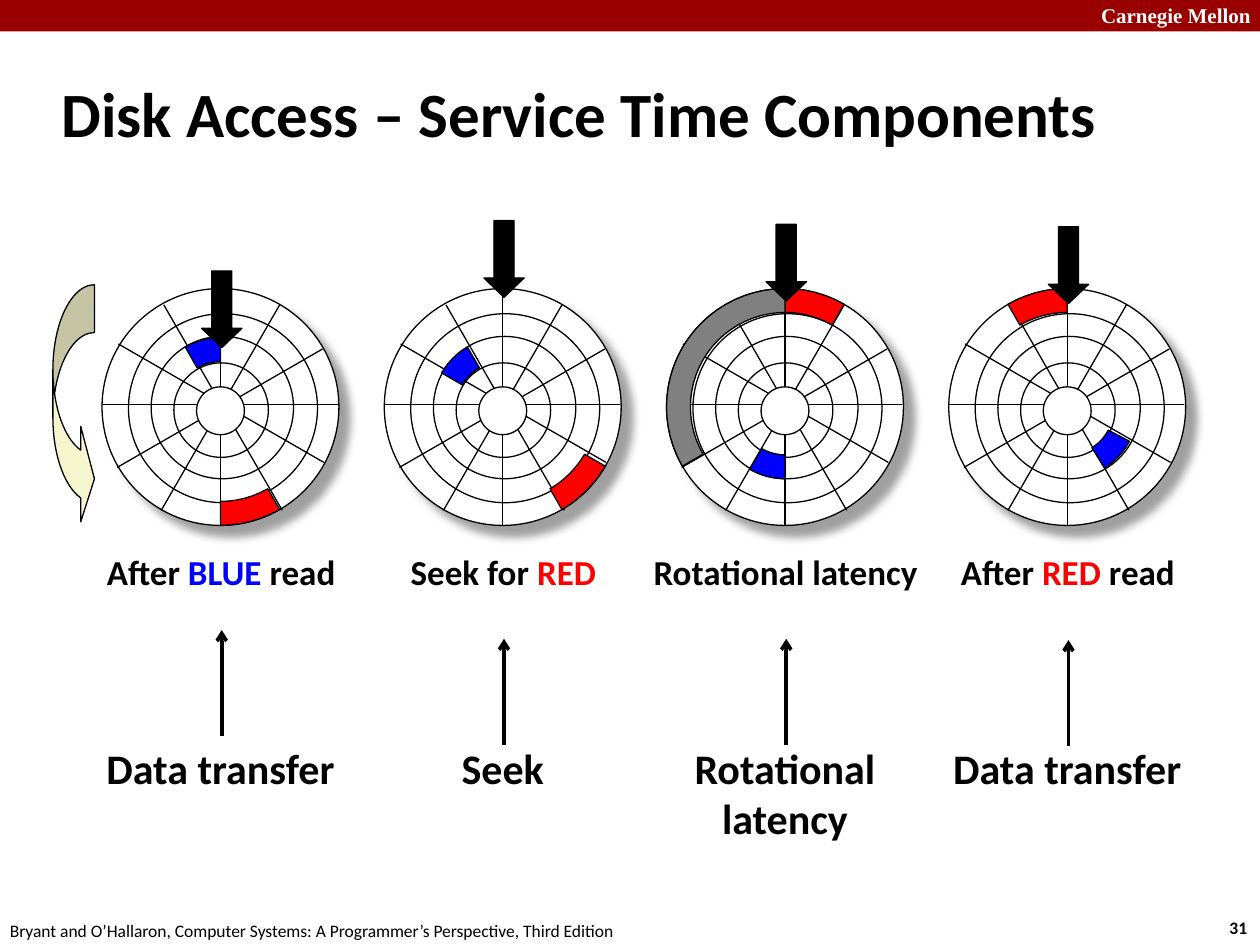
import math
from dataclasses import dataclass

from lxml import etree
from pptx import Presentation
from pptx import util as u
from pptx.dml import color
from pptx.enum import shapes, text
from pptx.oxml import ns


@dataclass(frozen=True)
class Theme:
    """Colours, fonts and type sizes of the deck."""
    black: str = "000000"
    white: str = "FFFFFF"
    banner: str = "990000"
    blue: str = "0000FF"
    red: str = "FF0000"
    grey: str = "808080"
    cream: str = "F7F5CD"
    body_font: str = "Calibri"
    banner_font: str = "Times New Roman"
    title: float = 36
    label: float = 24
    caption: float = 20
    banner_size: float = 12
    footer: float = 10


THEME = Theme()
DISK_SIZE = 1.88
RINGS = [(0, 0, 1.88), (0.21, 0.2, 1.5), (0.39, 0.38, 1.13), (0.57, 0.59, 0.75)]
HUB = (0.75, 0.78, 0.38)
SPOKES = [
    (0.94, 0, 0.94, 1.88), (1.41, 0.13, 0.47, 1.76), (1.75, 0.48, 0.12, 1.42),
    (1.87, 0.92, 0, 0.92), (1.76, 1.38, 0.13, 0.44), (1.43, 1.76, 0.49, 0.13),
]
OUTER_TRACK = (0.94, 0.75, 0.94)
INNER_TRACK = (0.95, 0.37, 0.56)


@dataclass(frozen=True)
class Stage:
    """One step of the access: caption, label, head position and sectors."""
    caption: list
    label: list
    head_top: float
    pointer_top: float
    sectors: list


STAGES = [
    Stage([("After ", THEME.black), ("BLUE ", THEME.blue), ("read", THEME.black)],
          ["Data transfer"], 2.15, 5,
          [(INNER_TRACK, -30, 0, THEME.blue), (OUTER_TRACK, 150, 180, THEME.red)]),
    Stage([("Seek for ", THEME.black), ("RED", THEME.red)],
          ["Seek"], 1.75, 5.07,
          [(OUTER_TRACK, 120, 150, THEME.red), (INNER_TRACK, -60, -30, THEME.blue)]),
    Stage([("Rotational latency", THEME.black)],
          ["Rotational", "latency"], 1.78, 5.07,
          [(OUTER_TRACK, 0, 30, THEME.red), (INNER_TRACK, 180, 210, THEME.blue),
           (OUTER_TRACK, 240, 360, THEME.grey)]),
    Stage([("After ", THEME.black), ("RED", THEME.red), (" read", THEME.black)],
          ["Data transfer"], 1.8, 5.08,
          [(OUTER_TRACK, -30, 0, THEME.red), (INNER_TRACK, 118, 148, THEME.blue)]),
]


def rgb(value):
    """Turn a hex string into a colour."""
    return color.RGBColor.from_string(value)


def paint(shape, fill, line=THEME.black):
    """Give a shape a flat fill, a thin line or none, and no shadow."""
    shape.shadow.inherit = False
    shape.fill.solid()
    shape.fill.fore_color.rgb = rgb(fill)
    if line is None:
        shape.line.fill.background()
    else:
        shape.line.color.rgb = rgb(line)
        shape.line.width = u.Pt(0.75)
    return shape


def add_preset(parent, kind, box, fill, line=THEME.black):
    """Add a painted preset shape in a box given in inches."""
    return paint(parent.add_shape(kind, *map(u.Inches, box)), fill, line)


def add_line(parent, ends, width):
    """Add a straight black line without a shadow."""
    line = parent.add_connector(shapes.MSO_CONNECTOR.STRAIGHT, *map(u.Inches, ends))
    line.line.color.rgb = rgb(THEME.black)
    line.line.width = u.Pt(width)
    etree.SubElement(line._element.spPr, ns.qn("a:effectLst"))
    return line


def add_text(page, box, lines, size, bold=True, centred=False, wrap=True,
             font=THEME.body_font):
    """Add a text box whose lines are lists of (words, colour) spans."""
    area = page.shapes.add_textbox(*map(u.Inches, box))
    frame = area.text_frame
    frame.word_wrap = wrap
    for index, spans in enumerate(lines):
        para = frame.add_paragraph() if index else frame.paragraphs[0]
        para.alignment = text.PP_ALIGN.CENTER if centred else text.PP_ALIGN.LEFT
        for words, tint in spans:
            span = para.add_run()
            span.text = words
            span.font.name = font
            span.font.size = u.Pt(size)
            span.font.bold = bold
            span.font.color.rgb = rgb(tint)
    return area


def add_frame(page):
    """Draw the banner, the title and the footer."""
    add_preset(page.shapes, shapes.MSO_SHAPE.RECTANGLE, (0, 0, 10, 0.25),
               THEME.banner, None)
    add_text(page, (8.64, -0.03, 1.43, 0.3), [[("Carnegie Mellon", THEME.white)]],
             THEME.banner_size, font=THEME.banner_font)
    add_text(page, (9.66, 7.23, 0.37, 0.27), [[("31", THEME.black)]],
             THEME.footer, wrap=False)
    credit = "Bryant and O’Hallaron, Computer Systems: A Programmer’s Perspective, Third Edition"
    add_text(page, (-0.02, 7.25, 5.08, 0.27), [[(credit, THEME.black)]],
             THEME.footer, bold=False, wrap=False)
    title = add_text(page, (0.39, 0.48, 8.85, 0.83),
                     [[("Disk Access – Service Time Components", THEME.black)]],
                     THEME.title)
    title.text_frame.vertical_anchor = text.MSO_ANCHOR.MIDDLE


def add_shadow(shape):
    """Cast a soft grey shadow to the lower right."""
    effects = shape._element.spPr.find(ns.qn("a:effectLst"))
    shadow = etree.SubElement(effects, ns.qn("a:outerShdw"), blurRad=str(u.Pt(5)),
                              dist=str(u.Pt(8.5)), dir="2700000", algn="tl",
                              rotWithShape="0")
    tint = etree.SubElement(shadow, ns.qn("a:srgbClr"), val=THEME.grey)
    etree.SubElement(tint, ns.qn("a:alpha"), val="75000")


def add_sector(parent, left, top, track, start, end, fill):
    """Fill part of a track between two angles, clockwise from the top."""
    middle, inner, outer = track
    steps = (end - start) // 5
    angles = [math.radians(start + (end - start) * i / steps) for i in range(steps + 1)]
    arcs = [(outer, a) for a in angles] + [(inner, a) for a in reversed(angles)]
    points = [(u.Inches(left + DISK_SIZE / 2 + radius * math.sin(angle)),
               u.Inches(top + middle - radius * math.cos(angle)))
              for radius, angle in arcs]
    outline = parent.build_freeform(*points[0])
    outline.add_line_segments(points[1:], close=True)
    paint(outline.convert_to_shape(), fill)


def add_disk(page, left, top, stage):
    """Draw a disk with its tracks, spokes, sectors and read head."""
    parts = page.shapes.add_group_shape().shapes
    oval = shapes.MSO_SHAPE.OVAL
    rings = [add_preset(parts, oval, (left + x, top + y, size, size), THEME.white)
             for x, y, size in RINGS]
    add_shadow(rings[0])
    for x1, y1, x2, y2 in SPOKES:
        add_line(parts, (left + x1, top + y1, left + x2, top + y2), 0.75)
    x, y, size = HUB
    add_preset(parts, oval, (left + x, top + y, size, size), THEME.white)
    for sector in stage.sectors:
        add_sector(parts, left, top, *sector)
    head = add_preset(parts, shapes.MSO_SHAPE.DOWN_ARROW,
                      (left + 0.79, stage.head_top, 0.32, 0.61), THEME.black)
    head.adjustments[1] = 0.48


def add_stage(page, left, top, stage):
    """Draw a disk with its caption, pointer and label underneath."""
    add_disk(page, left, top, stage)
    centre = left + DISK_SIZE / 2
    add_text(page, (centre - 1.33, 4.32, 2.67, 0.43), [stage.caption],
             THEME.caption, centred=True)
    add_text(page, (centre - 1.02, 5.84, 2.04, 0.5),
             [[(words, THEME.black)] for words in stage.label],
             THEME.label, centred=True)
    pointer = add_line(page.shapes, (centre + 0.01, stage.pointer_top + 0.84,
                                     centre + 0.01, stage.pointer_top), 2)
    etree.SubElement(pointer.line._get_or_add_ln(), ns.qn("a:tailEnd"), type="arrow")


def add_rotation(page, box):
    """Draw the curved arrow that shows the spin of the disk."""
    arrow = add_preset(page.shapes, shapes.MSO_SHAPE.CURVED_RIGHT_ARROW, box, THEME.cream)
    for index, value in enumerate((1.15, 2.3, 0.33)):
        arrow.adjustments[index] = value


def main():
    """Build the slide and save it."""
    deck = Presentation()
    deck.slide_width, deck.slide_height = u.Inches(10), u.Inches(7.5)
    page = deck.slides.add_slide(deck.slide_layouts[6])
    add_frame(page)
    for index, stage in enumerate(STAGES):
        add_stage(page, 0.81 + 2.24 * index, 2.29, stage)
    add_rotation(page, (0.42, 2.26, 0.33, 1.92))
    deck.save("out.pptx")


if __name__ == "__main__":
    main()
